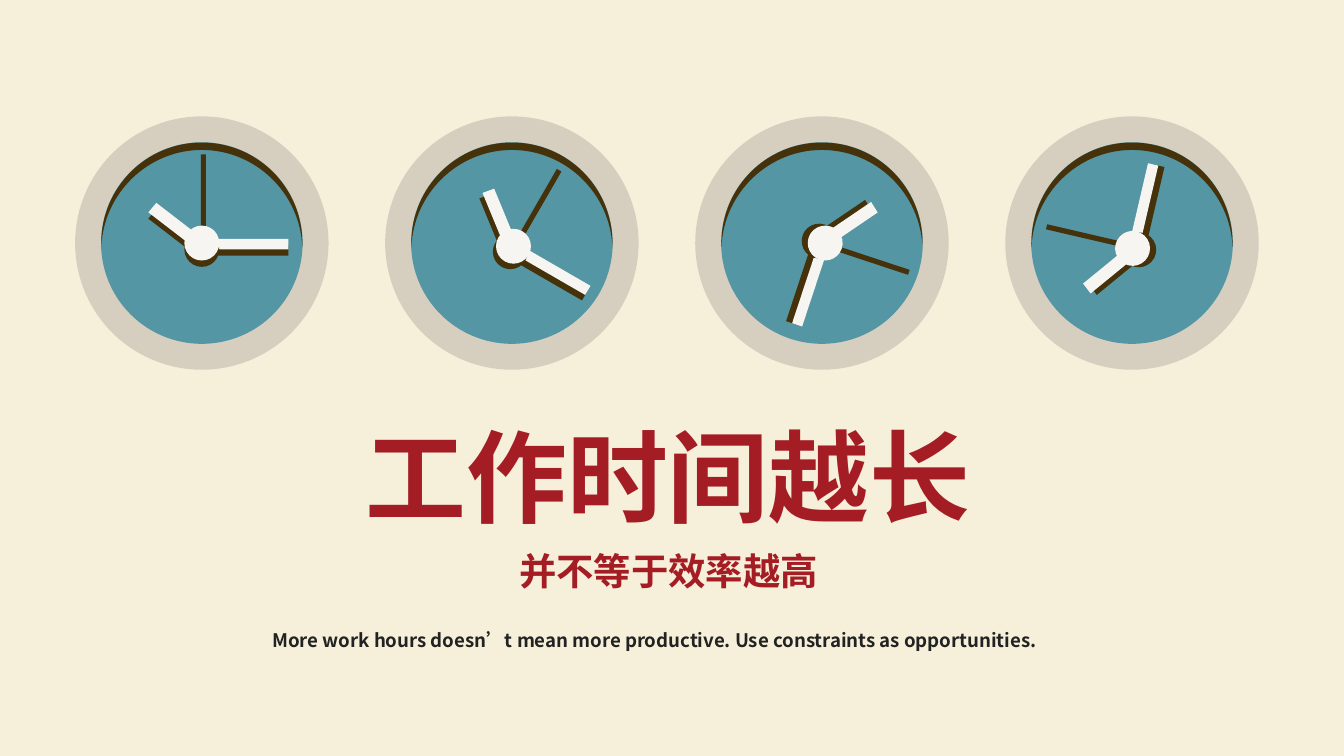
from math import cos, radians, sin

from lxml import etree
from pptx import Presentation
from pptx.dml.color import RGBColor
from pptx.enum.lang import MSO_LANGUAGE_ID
from pptx.enum.shapes import MSO_SHAPE
from pptx.enum.text import MSO_AUTO_SIZE
from pptx.oxml.ns import qn
from pptx.util import Cm, Pt

OVAL = MSO_SHAPE.OVAL
RECTANGLE = MSO_SHAPE.RECTANGLE
GROW = MSO_AUTO_SIZE.SHAPE_TO_FIT_TEXT
CHINESE = MSO_LANGUAGE_ID.SIMPLIFIED_CHINESE

FONT = "Noto Sans CJK SC"
CREAM, STONE, TEAL = "F6F0DA", "D6CFBF", "5496A4"
BROWN, WHITE, RED, BLACK = "45320B", "F6F5F1", "A41C24", "222222"

CLOCK_SIZE, FACE_SIZE, HUB_SIZE = 4.79, 3.81, 0.66
CLOCK_LEFT, CLOCK_TOP, CLOCK_PITCH = 1.42, 2.2, 5.86
SHADOW_DROP = 0.12
HOUR_OUTLINE = [(-0.38, -0.44), (0.53, 0.26), (0.38, 0.44), (-0.53, -0.26)]
CRESCENT_START = (0, -1.76)
CRESCENT_RIGHT = [
    (1.02, -1.76), (1.86, -0.94), (1.9, 0.08),
    (1.9, 0.05), (1.9, 0.03), (1.9, 0),
    (1.9, -1.05), (1.05, -1.9), (0, -1.9),
]

CLOCKS = [
    {"angle": 0, "shift": (0, 0)},
    {"angle": 30, "shift": (0.03, 0.06)},
    {"angle": 108.3, "shift": (0.06, 0)},
    {"angle": 283.1, "shift": (0.01, 0.1)},
]

CAPTION = {"box": (4.9, 11.76, 15.54, 0.69),
           "text": "More work hours doesn’t mean more productive. "
                   "Use constraints as opportunities.",
           "size": 10, "color": BLACK, "wrap": True}
TITLE = {"box": (6.66, 7.72, 12.07, 2.57), "text": "工作时间越长",
         "size": 54, "color": RED, "wrap": False}
SUBTITLE = {"box": (9.56, 10.24, 6.22, 1.12), "text": "并不等于效率越高",
            "size": 20, "color": RED, "wrap": False}


def rgb(color):
    return RGBColor.from_string(color)


def paint(shape, color, angle=0):
    shape.shadow.inherit = False
    shape.fill.solid()
    shape.fill.fore_color.rgb = rgb(color)
    shape.line.fill.background()
    shape.rotation = angle


def add_centred(group, kind, center, size, color, angle=0):
    (x, y), (width, height) = center, size
    shape = group.shapes.add_shape(
        kind, Cm(x - width / 2), Cm(y - height / 2), Cm(width), Cm(height))
    paint(shape, color, angle)


def add_outline(group, center, points, color, angle=0):
    corners = [(Cm(center[0] + x), Cm(center[1] + y)) for x, y in points]
    builder = group.shapes.build_freeform(*corners[0])
    builder.add_line_segments(corners[1:], close=True)
    shape = builder.convert_to_shape()
    paint(shape, color, angle)
    return shape


def bend_lines(shape):
    lines = list(shape._element.iter(qn("a:lnTo")))
    for first in range(0, len(lines), 3):
        curve = etree.Element(qn("a:cubicBezTo"))
        lines[first].addprevious(curve)
        for line in lines[first:first + 3]:
            curve.append(line[0])
            line.getparent().remove(line)


def add_face(group, center):
    for size, color in ((CLOCK_SIZE, STONE), (FACE_SIZE, TEAL)):
        add_centred(group, OVAL, center, (size, size), color)
    mirrored = [(-x, y) for x, y in reversed(CRESCENT_RIGHT[:-1])]
    points = [CRESCENT_START, *CRESCENT_RIGHT, *mirrored, CRESCENT_START]
    bend_lines(add_outline(group, center, points, BROWN))


def add_hands(group, hub, angle):
    turn = radians(angle)

    def around_hub(x, y):
        return (hub[0] + x * cos(turn) - y * sin(turn),
                hub[1] + x * sin(turn) + y * cos(turn))

    layers = ((SHADOW_DROP, BROWN), (0, WHITE))
    for drop, color in layers:
        add_centred(group, RECTANGLE, around_hub(0.82, 0.02 + drop),
                    (1.63, 0.2), color, angle)
    for drop, color in layers:
        add_outline(group, around_hub(-0.48, -0.32 + drop),
                    HOUR_OUTLINE, color, angle)
    add_centred(group, RECTANGLE, around_hub(0.03, -0.86),
                (0.1, 1.63), BROWN, angle)
    for drop, color in layers:
        add_centred(group, OVAL, around_hub(0, drop),
                    (HUB_SIZE, HUB_SIZE), color, angle)


def add_clock(page, left, top, angle, shift):
    group = page.shapes.add_group_shape()
    center = (left + CLOCK_SIZE / 2, top + CLOCK_SIZE / 2)
    add_face(group, center)
    add_hands(group, (center[0] + shift[0], center[1] + shift[1]), angle)


def add_text(page, box, text, size, color, wrap):
    frame = page.shapes.add_textbox(*(Cm(length) for length in box)).text_frame
    frame.word_wrap = wrap
    frame.auto_size = GROW
    span = frame.paragraphs[0].add_run()
    span.text = text
    formats = {"name": FONT, "size": Pt(size), "bold": True,
               "language_id": CHINESE}
    for name, value in formats.items():
        setattr(span.font, name, value)
    span.font.color.rgb = rgb(color)
    properties = span._r.get_or_add_rPr()
    etree.SubElement(properties, qn("a:ea")).set("typeface", FONT)


def main():
    deck = Presentation()
    deck.slide_width, deck.slide_height = Cm(25.4), Cm(14.29)
    page = deck.slides.add_slide(deck.slide_layouts[6])
    page.background.fill.solid()
    page.background.fill.fore_color.rgb = rgb(CREAM)
    add_text(page, **CAPTION)
    add_text(page, **TITLE)
    for index, clock in enumerate(CLOCKS):
        add_clock(page, CLOCK_LEFT + index * CLOCK_PITCH, CLOCK_TOP, **clock)
    add_text(page, **SUBTITLE)
    deck.save("out.pptx")


if __name__ == "__main__":
    main()
